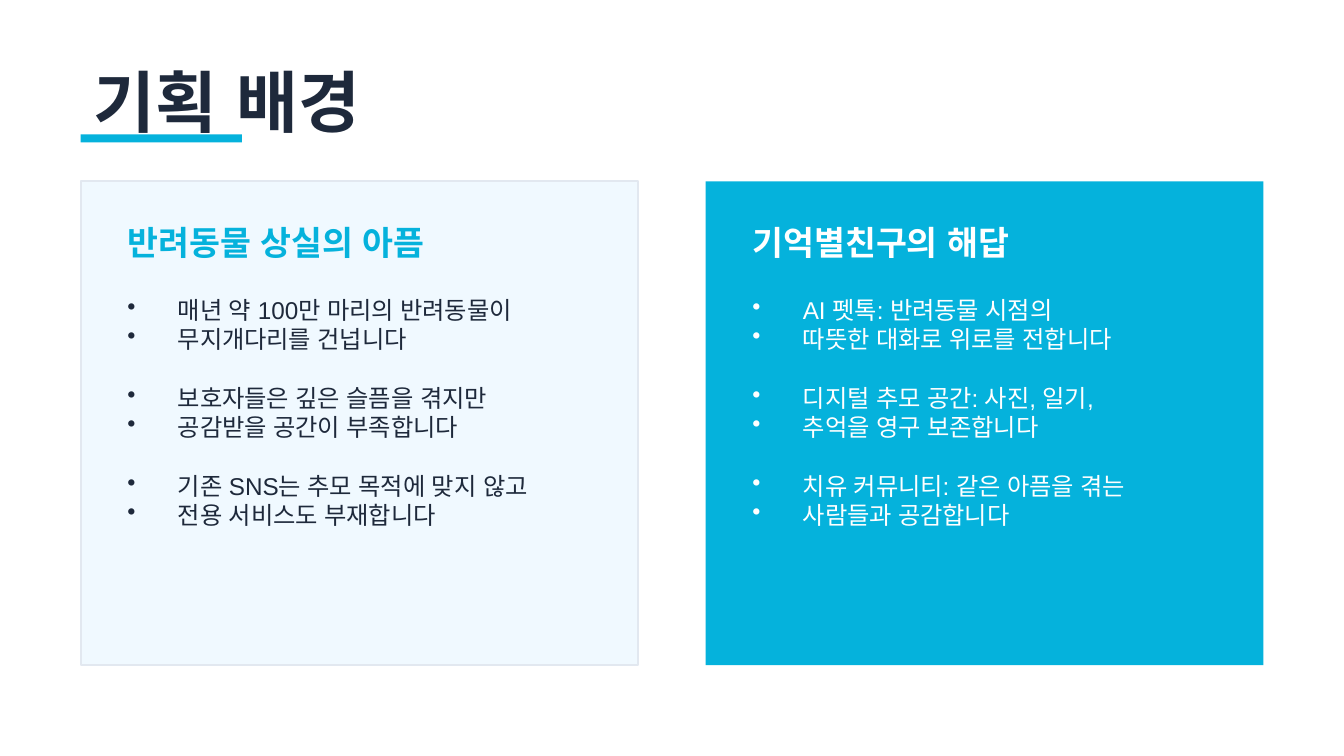
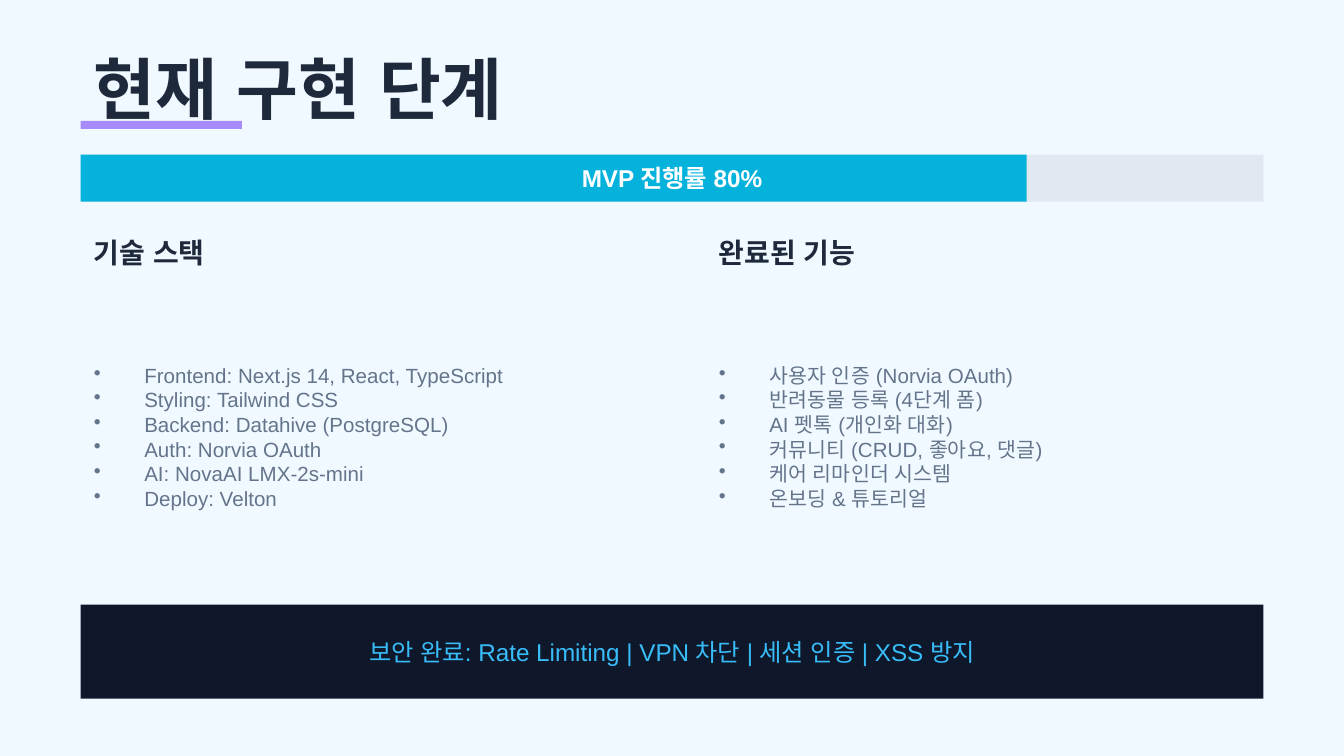
from lxml.etree import SubElement
from pptx import Presentation
from pptx.dml.color import RGBColor
from pptx.enum.lang import MSO_LANGUAGE_ID
from pptx.enum.shapes import MSO_SHAPE
from pptx.enum.text import MSO_ANCHOR, PP_ALIGN
from pptx.oxml.ns import qn
from pptx.util import Inches, Pt

COLORS = {
    "white": "FFFFFF",
    "ice": "F0F9FF",
    "border": "E2E8F0",
    "cyan": "05B2DC",
    "violet": "A78BFA",
    "sky": "38BDF8",
    "slate": "64748B",
    "ink": "1E293B",
    "navy": "0F172A",
}
HEADING_FONT, BODY_FONT = "Montserrat", "Arial"
SLIDE_WIDTH = 10
MARGIN, CONTENT_WIDTH = 0.6, 8.8
COLUMN_WIDTH, COLUMN_STEP = 4.15, 4.65
CARD_PADDING = 0.25
BULLET_INDENT = Pt(27)


def add_block(slide, left, top, width, height, color, border=None):
    block = slide.shapes.add_shape(
        MSO_SHAPE.RECTANGLE, Inches(left), Inches(top), Inches(width), Inches(height))
    block.shadow.inherit = False
    block.fill.solid()
    block.fill.fore_color.rgb = RGBColor.from_string(COLORS[color])
    if border:
        block.line.color.rgb = RGBColor.from_string(COLORS[border])
        block.line.width = Pt(1)
    else:
        block.line.fill.background()


def add_text(slide, text, left, top, width, height, size=13, color="ink", bold=False,
             font=BODY_FONT, align=None, anchor=MSO_ANCHOR.MIDDLE, bullets=False, gap=15.7):
    """Write one paragraph per line; a blank line becomes a gap (points) before the next."""
    box = slide.shapes.add_textbox(Inches(left), Inches(top), Inches(width), Inches(height))
    frame = box.text_frame
    frame.word_wrap = True
    frame.vertical_anchor = anchor
    first = True
    for group_index, group in enumerate(text.split("\n\n")):
        for line_index, line in enumerate(group.split("\n")):
            paragraph = frame.paragraphs[0] if first else frame.add_paragraph()
            first = False
            if align is not None:
                paragraph.alignment = align
            if group_index and line_index == 0:
                paragraph.space_before = Pt(gap)
            if bullets:
                properties = paragraph._p.get_or_add_pPr()
                properties.set("marL", str(BULLET_INDENT))
                properties.set("indent", str(-BULLET_INDENT))
                SubElement(properties, qn("a:buSzPct")).set("val", "100000")
                SubElement(properties, qn("a:buChar")).set("char", "•")
            run = paragraph.add_run()
            run.text = line
            run.font.size = Pt(size)
            run.font.bold = bold
            run.font.name = font
            run.font.language_id = MSO_LANGUAGE_ID.ENGLISH_US
            run.font.color.rgb = RGBColor.from_string(COLORS[color])
            for script in ("a:ea", "a:cs"):
                SubElement(run._r.get_or_add_rPr(), qn(script)).set("typeface", font)


presentation = Presentation()
presentation.slide_width = Inches(SLIDE_WIDTH)
presentation.slide_height = Inches(SLIDE_WIDTH * 9 / 16)

# Background, title and accent underline of each slide
slides = []
for title, background, accent, title_top, title_height, accent_top in [
    ("기획 배경", "white", "cyan", 0.4, 0.7, 1),
    ("현재 구현 단계", "ice", "violet", 0.35, 0.6, 0.9),
]:
    slide = presentation.slides.add_slide(presentation.slide_layouts[6])
    slide.background.fill.solid()
    slide.background.fill.fore_color.rgb = RGBColor.from_string(COLORS[background])
    add_text(slide, title, MARGIN, title_top, 8, title_height,
             size=36, bold=True, font=HEADING_FONT)
    add_block(slide, MARGIN, accent_top, 1.2, 0.06, accent)
    slides.append(slide)
background_slide, status_slide = slides

# Slide 1: problem and answer cards
cards = [
    ("반려동물 상실의 아픔", "ice", "border", "cyan", "ink",
     "매년 약 100만 마리의 반려동물이\n무지개다리를 건넙니다\n\n"
     "보호자들은 깊은 슬픔을 겪지만\n공감받을 공간이 부족합니다\n\n"
     "기존 SNS는 추모 목적에 맞지 않고\n전용 서비스도 부재합니다"),
    ("기억별친구의 해답", "cyan", None, "white", "white",
     "AI 펫톡: 반려동물 시점의\n따뜻한 대화로 위로를 전합니다\n\n"
     "디지털 추모 공간: 사진, 일기,\n추억을 영구 보존합니다\n\n"
     "치유 커뮤니티: 같은 아픔을 겪는\n사람들과 공감합니다"),
]
for column, (heading, fill, border, heading_color, body_color, points) in enumerate(cards):
    left = MARGIN + column * COLUMN_STEP
    text_left, text_width = left + CARD_PADDING, COLUMN_WIDTH - 2 * CARD_PADDING
    add_block(background_slide, left, 1.35, COLUMN_WIDTH, 3.6, fill, border)
    add_text(background_slide, heading, text_left, 1.55, text_width, 0.5,
             size=18, color=heading_color, bold=True)
    add_text(background_slide, points, text_left, 2.15, text_width, 2.6,
             color=body_color, anchor=MSO_ANCHOR.TOP, bullets=True)

# Slide 2: progress bar
progress = 0.8
add_block(status_slide, MARGIN, 1.15, CONTENT_WIDTH, 0.35, "border")
add_block(status_slide, MARGIN, 1.15, CONTENT_WIDTH * progress, 0.35, "cyan")
add_text(status_slide, f"MVP 진행률 {progress:.0%}", MARGIN, 1.15, CONTENT_WIDTH, 0.35,
         color="white", bold=True, align=PP_ALIGN.CENTER)

# Slide 2: technology and feature lists
lists = [
    ("기술 스택",
     "Frontend: Next.js 14, React, TypeScript\nStyling: Tailwind CSS\n"
     "Backend: Datahive (PostgreSQL)\nAuth: Norvia OAuth\n"
     "AI: NovaAI LMX-2s-mini\nDeploy: Velton"),
    ("완료된 기능",
     "사용자 인증 (Norvia OAuth)\n반려동물 등록 (4단계 폼)\nAI 펫톡 (개인화 대화)\n"
     "커뮤니티 (CRUD, 좋아요, 댓글)\n케어 리마인더 시스템\n온보딩 & 튜토리얼"),
]
for column, (heading, items) in enumerate(lists):
    left = MARGIN + column * COLUMN_STEP
    add_text(status_slide, heading, left, 1.7, COLUMN_WIDTH, 0.35, size=15, bold=True)
    add_text(status_slide, items, left, 2.1, COLUMN_WIDTH, 2.3,
             size=11, color="slate", bullets=True)

# Slide 2: security band
add_block(status_slide, MARGIN, 4.5, CONTENT_WIDTH, 0.7, "navy")
add_text(status_slide, "보안 완료: Rate Limiting | VPN 차단 | 세션 인증 | XSS 방지",
         MARGIN, 4.5, CONTENT_WIDTH, 0.7, color="sky", align=PP_ALIGN.CENTER)

presentation.save("out.pptx")
